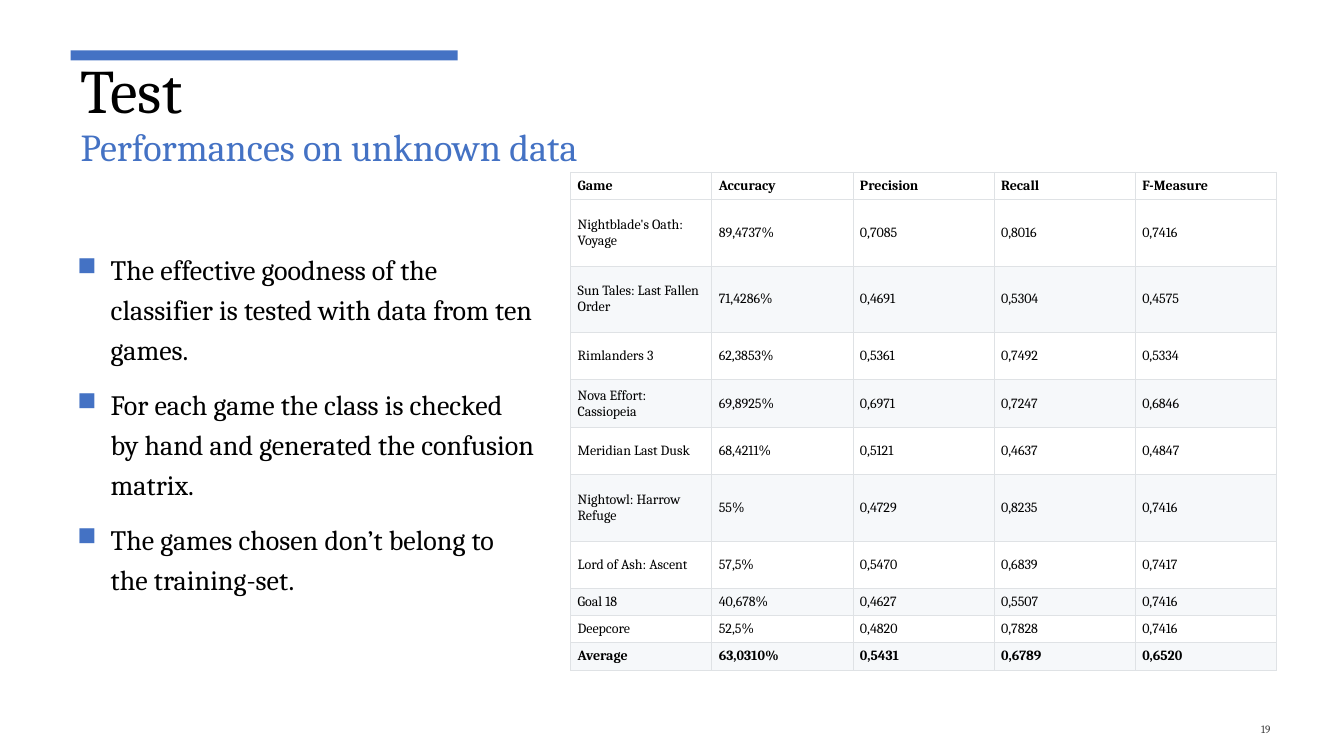
from dataclasses import dataclass

from lxml.etree import SubElement
from pptx import Presentation
from pptx.dml.color import RGBColor
from pptx.enum.shapes import MSO_SHAPE
from pptx.enum.text import MSO_ANCHOR as Anchor, PP_ALIGN as Align
from pptx.oxml.ns import qn
from pptx.slide import Slide
from pptx.table import _Cell as Cell
from pptx.text.text import Font, TextFrame, _Paragraph as Paragraph
from pptx.util import Inches, Pt

FONT = "Cambria"
BLUE, BLACK, GREY = "4472C4", "000000", "404040"
WHITE, STRIPE, BORDER = "FFFFFF", "F6F8FA", "DFE2E5"


@dataclass
class TextBox:
    left: float
    top: float
    width: float
    height: float
    lines: list[str]
    size: float
    color: str = BLACK
    anchor: Anchor = Anchor.MIDDLE
    align: Align = Align.LEFT
    line_spacing: float = 1.0
    space_after: float = 0
    bulleted: bool = False


@dataclass
class GameRow:
    values: list[str]
    height: float
    bold: bool = False


TEXT_BOXES = [
    TextBox(0.67, 2.14, 4.74, 4.07, [
        "The effective goodness of the classifier is tested with data from ten games.",
        "For each game the class is checked by hand and generated the confusion matrix.",
        "The games chosen don’t belong to the training-set.",
    ], 20, line_spacing=1.2, space_after=6, bulleted=True),
    TextBox(11.55, 7.03, 1.15, 0.4, ["19"], 8, GREY, align=Align.RIGHT, space_after=6),
    TextBox(0.7, 0.95, 5.62, 0.77, ["Performances on unknown data"], 27.2, BLUE,
            Anchor.BOTTOM, line_spacing=0.8),
    TextBox(0.7, 0.62, 4.92, 0.66, ["Test"], 44.1, anchor=Anchor.BOTTOM, line_spacing=0.7),
]

SHORT, MEDIUM, TALL = 0.27, 0.47, 0.66
COLUMN_WIDTH = 1.4
GAME_ROWS = [
    GameRow(["Game", "Accuracy", "Precision", "Recall", "F-Measure"], SHORT, bold=True),
    GameRow(["Nightblade's Oath: Voyage", "89,4737%", "0,7085", "0,8016", "0,7416"], TALL),
    GameRow(["Sun Tales: Last Fallen Order", "71,4286%", "0,4691", "0,5304", "0,4575"], TALL),
    GameRow(["Rimlanders 3", "62,3853%", "0,5361", "0,7492", "0,5334"], MEDIUM),
    GameRow(["Nova Effort: Cassiopeia", "69,8925%", "0,6971", "0,7247", "0,6846"], MEDIUM),
    GameRow(["Meridian Last Dusk", "68,4211%", "0,5121", "0,4637", "0,4847"], MEDIUM),
    GameRow(["Nightowl: Harrow Refuge", "55%", "0,4729", "0,8235", "0,7416"], TALL),
    GameRow(["Lord of Ash: Ascent", "57,5%", "0,5470", "0,6839", "0,7417"], MEDIUM),
    GameRow(["Goal 18", "40,678%", "0,4627", "0,5507", "0,7416"], SHORT),
    GameRow(["Deepcore", "52,5%", "0,4820", "0,7828", "0,7416"], SHORT),
    GameRow(["Average", "63,0310%", "0,5431", "0,6789", "0,6520"], SHORT, bold=True),
]


def rgb(color: str) -> RGBColor:
    return RGBColor.from_string(color)


def style_font(font: Font, size: float, color: str, bold: bool = False) -> None:
    font.name = FONT
    font.size = Pt(size)
    font.bold = bold
    font.color.rgb = rgb(color)


def add_bullet(paragraph: Paragraph) -> None:
    properties = paragraph._p.get_or_add_pPr()
    properties.set("marL", str(Inches(0.33)))
    properties.set("indent", str(-Inches(0.33)))
    color = SubElement(properties, qn("a:buClr"))
    SubElement(color, qn("a:srgbClr"), val=BLUE)
    SubElement(properties, qn("a:buSzPct"), val="92000")
    SubElement(properties, qn("a:buChar"), char="■")


def fill_text(text_frame: TextFrame, box: TextBox) -> None:
    text_frame.word_wrap = True
    text_frame.vertical_anchor = box.anchor
    text_frame.text = "\n".join(box.lines)
    for index, paragraph in enumerate(text_frame.paragraphs):
        paragraph.alignment = box.align
        paragraph.line_spacing = box.line_spacing
        paragraph.space_after = Pt(box.space_after)
        if index:
            paragraph.space_before = Pt(0.2 * box.size)
        if box.bulleted:
            add_bullet(paragraph)
        for run in paragraph.runs:
            style_font(run.font, box.size, box.color)


def add_text_box(slide: Slide, box: TextBox) -> None:
    shape = slide.shapes.add_textbox(
        Inches(box.left), Inches(box.top), Inches(box.width), Inches(box.height))
    fill_text(shape.text_frame, box)


def add_accent_bar(slide: Slide) -> None:
    bar = slide.shapes.add_shape(
        MSO_SHAPE.RECTANGLE, Inches(0.7), Inches(0.5), Inches(3.84), Inches(0.1))
    bar.shadow.inherit = False
    bar.fill.solid()
    bar.fill.fore_color.rgb = rgb(BLUE)
    bar.line.fill.background()


def add_borders(cell: Cell) -> None:
    properties = cell._tc.get_or_add_tcPr()
    for side in ("lnL", "lnR", "lnT", "lnB"):
        line = SubElement(properties, qn(f"a:{side}"), w=str(Pt(0.75)))
        fill = SubElement(line, qn("a:solidFill"))
        SubElement(fill, qn("a:srgbClr"), val=BORDER)


def format_cell(cell: Cell, text: str, fill: str, bold: bool) -> None:
    cell.text_frame.text = text
    style_font(cell.text_frame.paragraphs[0].runs[0].font, 10, BLACK, bold)
    cell.vertical_anchor = Anchor.MIDDLE
    cell.margin_left = cell.margin_right = Inches(0.07)
    cell.margin_top = cell.margin_bottom = Inches(0.03)
    add_borders(cell)
    cell.fill.solid()
    cell.fill.fore_color.rgb = rgb(fill)


def add_results_table(slide: Slide) -> None:
    column_count = len(GAME_ROWS[0].values)
    table = slide.shapes.add_table(
        len(GAME_ROWS), column_count, Inches(5.66), Inches(1.71),
        Inches(COLUMN_WIDTH * column_count),
        Inches(sum(row.height for row in GAME_ROWS))).table
    for column in table.columns:
        column.width = Inches(COLUMN_WIDTH)
    for index, row in enumerate(GAME_ROWS):
        table.rows[index].height = Inches(row.height)
        fill = STRIPE if index and index % 2 == 0 else WHITE
        for cell, value in zip(table.rows[index].cells, row.values):
            format_cell(cell, value, fill, row.bold)


def main() -> None:
    presentation = Presentation()
    presentation.slide_width = Inches(13.33)
    presentation.slide_height = Inches(7.5)
    slide = presentation.slides.add_slide(presentation.slide_layouts[6])
    slide.background.fill.solid()
    slide.background.fill.fore_color.rgb = rgb(WHITE)
    add_accent_bar(slide)
    for box in TEXT_BOXES:
        add_text_box(slide, box)
    add_results_table(slide)
    presentation.save("out.pptx")


if __name__ == "__main__":
    main()
